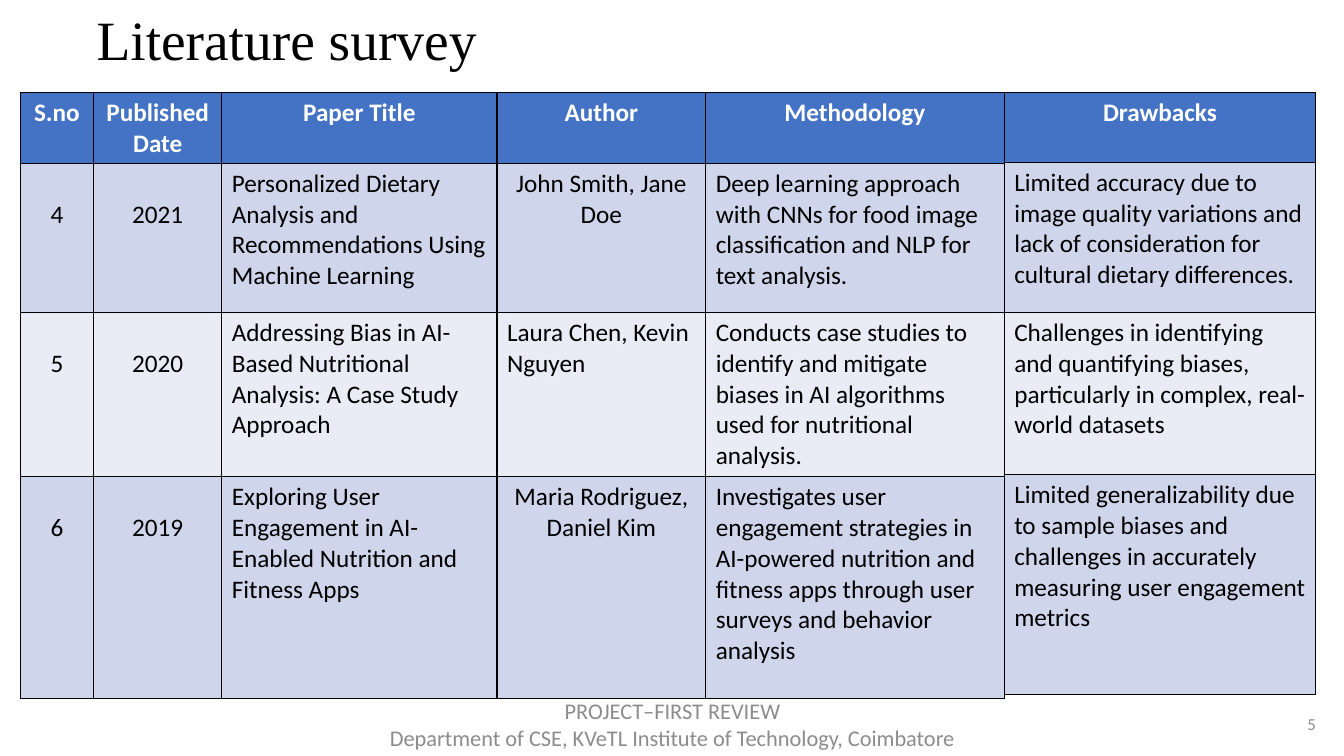
import pptx
import pptx.util
import pptx.dml.color
import pptx.enum.text
import pptx.oxml
import lxml.etree

HEADING = "Literature survey"
FOOTER = ["PROJECT–FIRST REVIEW", "Department of CSE, KVeTL Institute of Technology, Coimbatore"]
PAGE = "5"
SURVEY = [
    ("S.no", "Published Date", "Paper Title", "Author", "Methodology"),
    ("4", "2021",
     "Personalized Dietary Analysis and Recommendations Using Machine Learning",
     "John Smith, Jane Doe",
     "Deep learning approach with CNNs for food image classification and NLP for text analysis."),
    ("5", "2020",
     "Addressing Bias in AI-Based Nutritional Analysis: A Case Study Approach",
     "Laura Chen, Kevin Nguyen",
     "Conducts case studies to identify and mitigate biases in AI algorithms used for nutritional analysis."),
    ("6", "2019",
     "Exploring User Engagement in AI-Enabled Nutrition and Fitness Apps",
     "Maria Rodriguez, Daniel Kim",
     "Investigates user engagement strategies in AI-powered nutrition and fitness apps "
     "through user surveys and behavior analysis"),
]
DRAWBACKS = [
    ("Drawbacks",),
    ("Limited accuracy due to image quality variations and lack of consideration for "
     "cultural dietary differences.",),
    ("Challenges in identifying and quantifying biases, particularly in complex, real-world datasets",),
    ("Limited generalizability due to sample biases and challenges in accurately measuring "
     "user engagement metrics",),
]
SURVEY_COLS, SURVEY_ROWS = [0.73, 1.27, 2.73, 2.07, 2.96], [0.7, 1.48, 1.63, 2.2]
DRAWBACK_COLS, DRAWBACK_ROWS = [3.09], [0.69, 1.49, 1.61, 2.18]
CENTERED = {"S.no", "Published Date", "Author"}
LEFT_ALIGNED = {"Laura Chen, Kevin Nguyen"}
TALL_LINES = {"S.no", "Published Date"}
LEFT, TOP = 0.2, 0.92
COLORS = {"header": "4472C4", "odd": "CFD5EA", "even": "E9EBF5",
          "white": "FFFFFF", "black": "000000", "gray": "8C8C8C"}

Inches = pptx.util.Inches
ALIGN = pptx.enum.text.PP_ALIGN


def rgb(name):
    return pptx.dml.color.RGBColor.from_string(COLORS[name])


def add_run(p, text, size, color, font="Calibri", bold=False):
    r = p.add_run()
    r.text = text
    r.font.size = pptx.util.Pt(size)
    r.font.name = font
    r.font.bold = bold
    r.font.color.rgb = rgb(color)


def add_text(s, box, lines, size, color, align, font="Calibri", spacing=None):
    tf = s.shapes.add_textbox(*map(Inches, box)).text_frame
    tf.word_wrap = True
    tf.vertical_anchor = pptx.enum.text.MSO_ANCHOR.MIDDLE
    for i, line in enumerate(lines):
        p = tf.paragraphs[0] if i == 0 else tf.add_paragraph()
        p.alignment = align
        p.line_spacing = spacing
        add_run(p, line, size, color, font)


def add_borders(cell):
    tcPr = cell._tc.get_or_add_tcPr()
    ns = "http://schemas.openxmlformats.org/drawingml/2006/main"
    for i, side in enumerate(("lnL", "lnR", "lnT", "lnB")):
        tcPr.insert(i, pptx.oxml.parse_xml(
            f'<a:{side} xmlns:a="{ns}" w="12700"><a:solidFill>'
            f'<a:srgbClr val="{COLORS["black"]}"/></a:solidFill></a:{side}>'))


def add_grid(s, left, rows, widths, heights):
    box = map(Inches, (left, TOP, sum(widths), sum(heights)))
    table = s.shapes.add_table(len(rows), len(widths), *box).table
    for col, width in zip(table.columns, widths):
        col.width = Inches(width)
    for row, height in zip(table.rows, heights):
        row.height = Inches(height)
    for i, row in enumerate(rows):
        for j, text in enumerate(row):
            header = i == 0
            title = rows[0][j]
            cell = table.cell(i, j)
            cell.fill.solid()
            cell.fill.fore_color.rgb = rgb("header" if header else "odd" if i % 2 else "even")
            add_borders(cell)
            p = cell.text_frame.paragraphs[0]
            centered = header or title in CENTERED and text not in LEFT_ALIGNED
            p.alignment = ALIGN.CENTER if centered else ALIGN.LEFT
            if title in TALL_LINES and not header:
                p.line_spacing = 2.0
            add_run(p, text, 18, "white" if header else "black", bold=header)


def main():
    prs = pptx.Presentation()
    prs.slide_width, prs.slide_height = Inches(13.33), Inches(7.5)
    s = prs.slides.add_slide(prs.slide_layouts[6])
    add_text(s, (2.97, 6.98, 7.4, 0.4), FOOTER, 16, "gray", ALIGN.CENTER)
    add_text(s, (12.54, 6.98, 0.61, 0.4), [PAGE], 12, "gray", ALIGN.RIGHT)
    add_text(s, (0.86, 0.2, 11.5, 0.44), [HEADING], 39.6, "black", ALIGN.LEFT,
             "Times New Roman", 0.9)
    add_grid(s, LEFT, SURVEY, SURVEY_COLS, SURVEY_ROWS)
    add_grid(s, LEFT + sum(SURVEY_COLS), DRAWBACKS, DRAWBACK_COLS, DRAWBACK_ROWS)
    prs.save("out.pptx")


if __name__ == "__main__":
    main()
